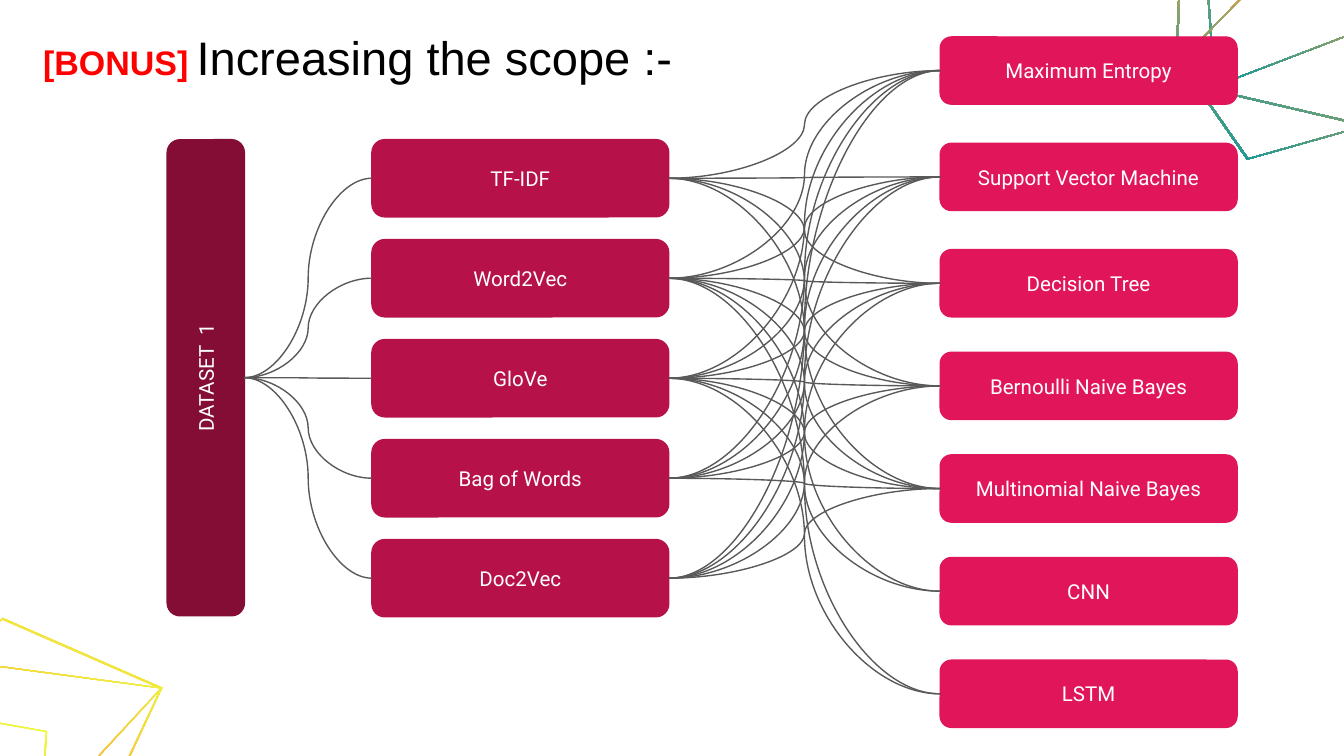
"""Build the slide that maps one dataset through text features to classifiers."""
from copy import deepcopy
from dataclasses import dataclass

from lxml import etree
from pptx import Presentation
from pptx import util as u
from pptx.dml.color import RGBColor
from pptx.enum import shapes, text
from pptx.oxml import ns


@dataclass(frozen=True)
class Theme:
    dataset: str = "840D35"
    feature: str = "B61249"
    model: str = "E1165A"
    link: str = "595959"
    label: str = "FFFFFF"
    title: str = "000000"
    bonus: str = "FF0000"
    gradient: tuple = ("EEFF41", "FFAB40", "0097A7")
    title_font: str = "Arial"
    label_font: str = "Roboto"
    label_size: float = 11
    bonus_size: float = 18.2
    space_size: float = 15.2
    title_size: float = 25.2
    line_width: float = 0.75


theme = Theme()


def add_run(paragraph, wording, font, size, color, bold=False):
    run = paragraph.add_run()
    run.text = wording
    run.font.name = font
    run.font.size = u.Pt(size)
    run.font.bold = bold
    run.font.color.rgb = RGBColor.from_string(color)


def add_box(slide, wording, left, top, width, height, color):
    shape = slide.shapes.add_shape(
        shapes.MSO_SHAPE.ROUNDED_RECTANGLE, u.Cm(left), u.Cm(top), u.Cm(width), u.Cm(height))
    shape.shadow.inherit = False
    shape.fill.solid()
    shape.fill.fore_color.rgb = RGBColor.from_string(color)
    shape.line.color.rgb = RGBColor.from_string(color)
    shape.line.width = u.Pt(theme.line_width)
    frame = shape.text_frame
    frame.word_wrap = True
    frame.vertical_anchor = text.MSO_ANCHOR.MIDDLE
    paragraph = frame.paragraphs[0]
    paragraph.alignment = text.PP_ALIGN.CENTER
    add_run(paragraph, wording, theme.label_font, theme.label_size, theme.label)
    return shape


presentation = Presentation()
presentation.slide_width = u.Cm(25.4)
presentation.slide_height = u.Cm(14.29)
slide = presentation.slides.add_slide(presentation.slide_layouts[5])

polygons = [
    [(22.94, 1.65), (22.53, -4.24), (29.77, -3.23), (28.45, -0.46)],
    [(-5.05, 17.35), (-4.88, 14.68), (-1.14, 13.46), (0.89, 13.82), (0.81, 15.11), (-1.4, 18.31)],
    [(-2.79, 17.2), (-3.86, 15.57), (0.05, 11.68), (3.07, 13), (-0.2, 16.54)],
    [(-2.79, 17.2), (-3.15, 12.17), (3.07, 13), (1.93, 15.42)],
    [(22.2, 1.55), (22.33, -1.52), (26.59, -3.05), (28.96, -2.69), (28.88, -1.22), (26.47, 2.54)],
    [(23.57, 3.02), (22.28, 1.17), (26.7, -3.4), (30.2, -1.96), (26.54, 2.18)],
]
inner_scale = 0.99
for polygon in polygons:
    center_x, center_y = (sum(values) / len(polygon) for values in zip(*polygon))
    outer = [(u.Cm(x), u.Cm(y)) for x, y in polygon]
    inner = [(u.Cm(center_x + (x - center_x) * inner_scale),
              u.Cm(center_y + (y - center_y) * inner_scale)) for x, y in reversed(polygon)]
    builder = slide.shapes.build_freeform(*outer[0])
    builder.add_line_segments(outer[1:])
    builder.move_to(*inner[0])
    builder.add_line_segments(inner[1:])
    outline = builder.convert_to_shape()
    outline.shadow.inherit = False
    outline.line.fill.background()
    outline.fill.gradient()
    outline.fill.gradient_angle = 245
    stop_list = outline._element.spPr.find(".//" + ns.qn("a:gsLst"))
    stop_list.insert(1, deepcopy(stop_list[0]))
    for index, stop in enumerate(outline.fill.gradient_stops):
        stop.position = index / 2
        stop.color.rgb = RGBColor.from_string(theme.gradient[index])

title = slide.shapes.title
title.left, title.top, title.width, title.height = u.Cm(0.56), u.Cm(0.48), u.Cm(13.69), u.Cm(1.19)
title.text_frame.auto_size = text.MSO_AUTO_SIZE.NONE
title.text_frame.vertical_anchor = text.MSO_ANCHOR.MIDDLE
paragraph = title.text_frame.paragraphs[0]
paragraph.alignment = text.PP_ALIGN.LEFT
add_run(paragraph, "[BONUS]", theme.title_font, theme.bonus_size, theme.bonus, True)
add_run(paragraph, " ", theme.title_font, theme.space_size, theme.title)
add_run(paragraph, "Increasing the scope :-", theme.title_font, theme.title_size, theme.title)

box_width, feature_height, model_height = 5.61, 1.46, 1.27
dataset_x, dataset_y, dataset_length = 3.89, 7.14, 9
dataset = add_box(slide, "DATASET  1", dataset_x - dataset_length / 2,
                  dataset_y - feature_height / 2, dataset_length, feature_height, theme.dataset)
dataset.rotation = 270

feature_names = ["TF-IDF", "Word2Vec", "GloVe", "Bag of Words", "Doc2Vec"]
features = [add_box(slide, name, 7.03, 2.64 + 1.89 * row, box_width, feature_height, theme.feature)
            for row, name in enumerate(feature_names)]

model_names = ["Maximum Entropy", "Support Vector Machine", "Decision Tree",
               "Bernoulli Naive Bayes", "Multinomial Naive Bayes", "CNN", "LSTM"]
model_tops = [0.7 + 2.01 * row for row in range(3)] + [6.66 + 1.94 * row for row in range(4)]
models = [add_box(slide, name, 17.77, top, box_width, model_height, theme.model)
          for name, top in zip(model_names, model_tops)]

links = [(dataset, 2, feature) for feature in features]
for feature, model_count in zip(features, [5, 7, 7, 5, 5]):
    links += [(feature, 3, model) for model in models[:model_count]]

for source, site, target in links:
    connector = slide.shapes.add_connector(shapes.MSO_CONNECTOR.CURVE, 0, 0, 0, 0)
    connector.begin_connect(source, site)
    connector.end_connect(target, 1)
    if source is dataset:
        connector.begin_x = u.Cm(dataset_x + feature_height / 2)
        connector.begin_y = u.Cm(dataset_y)
    connector.line.color.rgb = RGBColor.from_string(theme.link)
    connector.line.width = u.Pt(theme.line_width)
    etree.SubElement(connector._element.spPr, ns.qn("a:effectLst"))

presentation.save("out.pptx")
